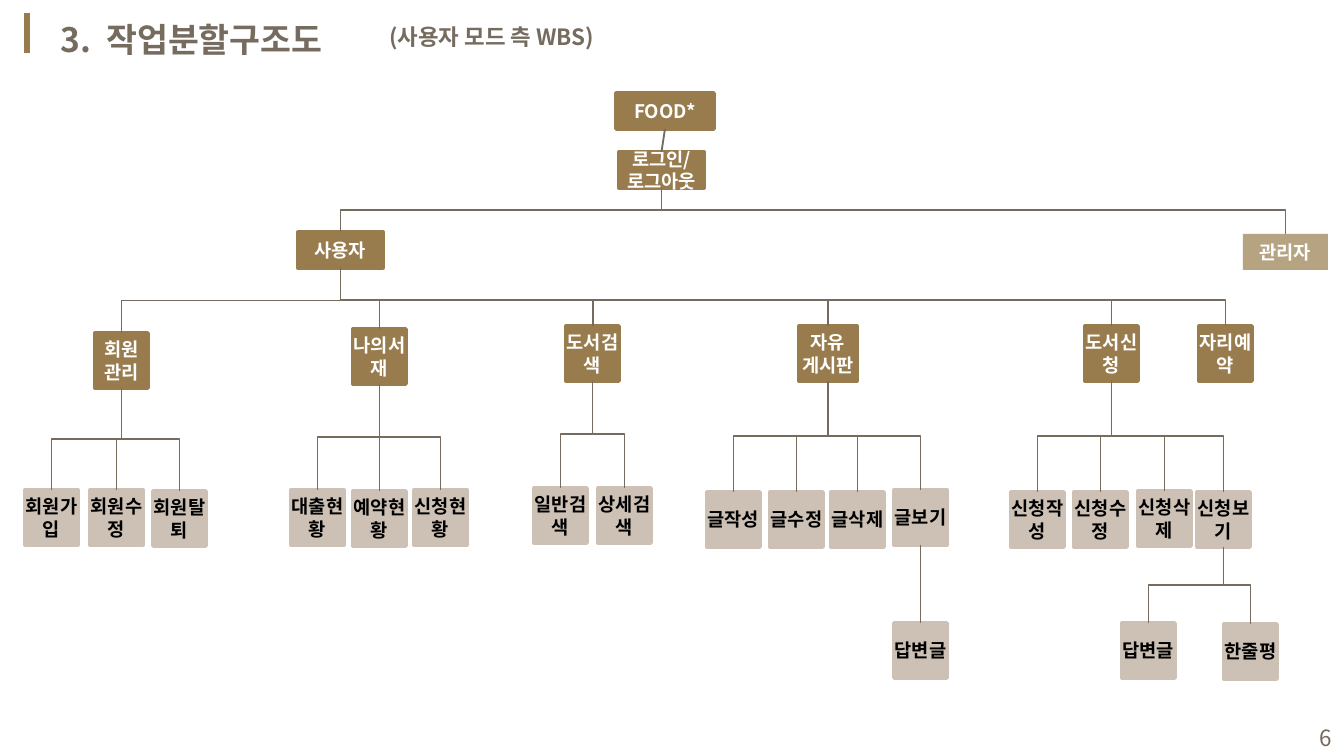
import pptx
import pptx.util
import pptx.dml.color
import pptx.enum.shapes
import pptx.enum.text
import pptx.oxml
import pptx.oxml.ns

RGB = pptx.dml.color.RGBColor
BROWN = RGB(0x98, 0x7C, 0x4D)
SAND = RGB(0xCD, 0xC1, 0xB6)
GREY = RGB(0x75, 0x6B, 0x5F)
WHITE = RGB(0xFF, 0xFF, 0xFF)
BLACK = RGB(0, 0, 0)
FONT = "Noto Sans CJK KR"
PX = 914400 / 134.4
NS = pptx.oxml.ns.nsdecls("a")
qn = pptx.oxml.ns.qn
SHAPE = pptx.enum.shapes.MSO_SHAPE.RECTANGLE
LINK = pptx.enum.shapes.MSO_CONNECTOR
ALIGN = pptx.enum.text.PP_ALIGN
ANCHOR = pptx.enum.text.MSO_ANCHOR
FIT = pptx.enum.text.MSO_AUTO_SIZE.SHAPE_TO_FIT_TEXT

STYLES = {
    "root": (98, 36, BROWN, WHITE),
    "role": (85, 36, BROWN, WHITE),
    "faint": (85, 36, BROWN, WHITE),
    "menu": (53, 55, BROWN, WHITE),
    "board": (58, 55, BROWN, WHITE),
    "leaf": (53, 55, SAND, BLACK),
}

TREE = ("FOOD*", "root", 616, 93, [
    ("로그인/\n로그아웃", "role", 619, 152, [
        ("사용자", "role", 298, 232, [
            ("회원\n관리", "menu", 95, 333, [
                ("회원가입", "leaf", 25, 490, []),
                ("회원수정", "leaf", 90, 490, []),
                ("회원탈퇴", "leaf", 153, 491, []),
            ]),
            ("나의서재", "menu", 353, 329, [
                ("대출현황", "leaf", 291, 490, []),
                ("예약현황", "leaf", 353, 491, []),
                ("신청현황", "leaf", 414, 490, []),
            ]),
            ("도서검색", "menu", 566, 326, [
                ("일반검색", "leaf", 534, 488, []),
                ("상세검색", "leaf", 598, 488, []),
            ]),
            ("자유\n게시판", "board", 799, 326, [
                ("글작성", "leaf", 707, 492, []),
                ("글수정", "leaf", 770, 492, []),
                ("글삭제", "leaf", 831, 492, []),
                ("글보기", "leaf", 894, 490, [
                    ("답변글", "leaf", 894, 623, []),
                ]),
            ]),
            ("도서신청", "menu", 1085, 326, [
                ("신청작성", "leaf", 1011, 492, []),
                ("신청수정", "leaf", 1074, 492, []),
                ("신청삭제", "leaf", 1138, 491, []),
                ("신청보기", "leaf", 1197, 492, [
                    ("답변글", "leaf", 1122, 623, []),
                    ("한줄평", "leaf", 1224, 624, []),
                ]),
            ]),
            ("자리예약", "menu", 1199, 326, []),
        ]),
        ("관리자", "faint", 1243, 234, []),
    ]),
])

TEXTS = [
    ("3.  작업분할구조도", 47, 12, 431, 54, 18, True),
    ("(사용자 모드 측 WBS)", 376, 17, 243, 40, 12, True),
]


def emu(*nums):
    return [round(n * PX) for n in nums]


def style(frame, size, color, bold, align):
    for para in frame.paragraphs:
        para.alignment = align
        for run in para.runs:
            font = run.font
            font.name, font.size, font.bold = FONT, pptx.util.Pt(size), bold
            font.color.rgb = color
            run._r.get_or_add_rPr().find(qn("a:latin")).addnext(
                pptx.oxml.parse_xml(f'<a:ea {NS} typeface="{FONT}"/>'))


def add_text(slide, text, x, y, w, h, size, bold, align=ALIGN.LEFT):
    frame = slide.shapes.add_textbox(*emu(x, y, w, h)).text_frame
    frame.word_wrap = True
    frame.text = text
    style(frame, size, GREY, bold, align)
    return frame


def add_box(slide, node):
    text, kind, x, y, kids = node
    w, h, fill, ink = STYLES[kind]
    box = slide.shapes.add_shape(SHAPE, *emu(x, y, w, h))
    box.shadow.inherit = False
    box.fill.solid()
    box.fill.fore_color.rgb = fill
    if kind == "faint":
        box.line.fill.background()
        tint = box._element.spPr.find(qn("a:solidFill"))[0]
        tint.append(pptx.oxml.parse_xml(f'<a:alpha {NS} val="70000"/>'))
    else:
        box.line.color.rgb = fill
        box.line.width = pptx.util.Pt(2)
    frame = box.text_frame
    frame.margin_left = frame.margin_right = 0
    frame.margin_top = frame.margin_bottom = 0
    frame.vertical_anchor = ANCHOR.MIDDLE
    frame.word_wrap = True
    frame.text = text
    style(frame, 10, ink, True, ALIGN.CENTER)
    for kid in kids:
        add_box(slide, kid)


def add_line(slide, kind, ends, color=GREY, width=1):
    line = slide.shapes.add_connector(kind, *emu(*ends))
    line.line.color.rgb = color
    line.line.width = pptx.util.Pt(width)
    line._element.spPr.append(pptx.oxml.parse_xml(f"<a:effectLst {NS}/>"))
    return line


def add_drop(slide, x, y, to_x, to_y, bus):
    wide, tall = abs(to_x - x), to_y - y
    if wide < 4:
        add_line(slide, LINK.STRAIGHT, (x, y, to_x, to_y))
        return
    left = (x + to_x - tall) / 2
    top = (y + to_y - wide) / 2
    ends = [left, left + tall]
    turn = 90
    if to_x > x:
        ends.reverse()
        turn = 270
    line = add_line(slide, LINK.ELBOW, (ends[0], top, ends[1], top + wide))
    props = line._element.spPr
    props.find(qn("a:xfrm")).set("rot", str(turn * 60000))
    bend = round((bus - y) / tall * 100000)
    geom = props.find(qn("a:prstGeom"))
    for old in list(geom):
        geom.remove(old)
    geom.append(pptx.oxml.parse_xml(
        f'<a:avLst {NS}><a:gd name="adj1" fmla="val {bend}"/></a:avLst>'))


def add_links(slide, node):
    kind, x, y, kids = node[1:]
    w, h = STYLES[kind][:2]
    for kid in kids:
        mid = kid[2] + STYLES[kid[1]][0] / 2
        bus = (y + h + kids[0][3]) / 2
        add_drop(slide, x + w / 2, y + h, mid, kid[3], bus)
        add_links(slide, kid)


def main():
    deck = pptx.Presentation()
    deck.slide_width, deck.slide_height = emu(1344, 756)
    slide = deck.slides.add_slide(deck.slide_layouts[6])
    add_line(slide, LINK.STRAIGHT, (27, 13, 27, 53), BROWN, 3)
    page = add_text(slide, "6", 1032, 718, 313, 40, 12, False, ALIGN.RIGHT)
    page.vertical_anchor = ANCHOR.MIDDLE
    for item in TEXTS:
        add_text(slide, *item).auto_size = FIT
    add_box(slide, TREE)
    add_links(slide, TREE)
    deck.save("out.pptx")


if __name__ == "__main__":
    main()
